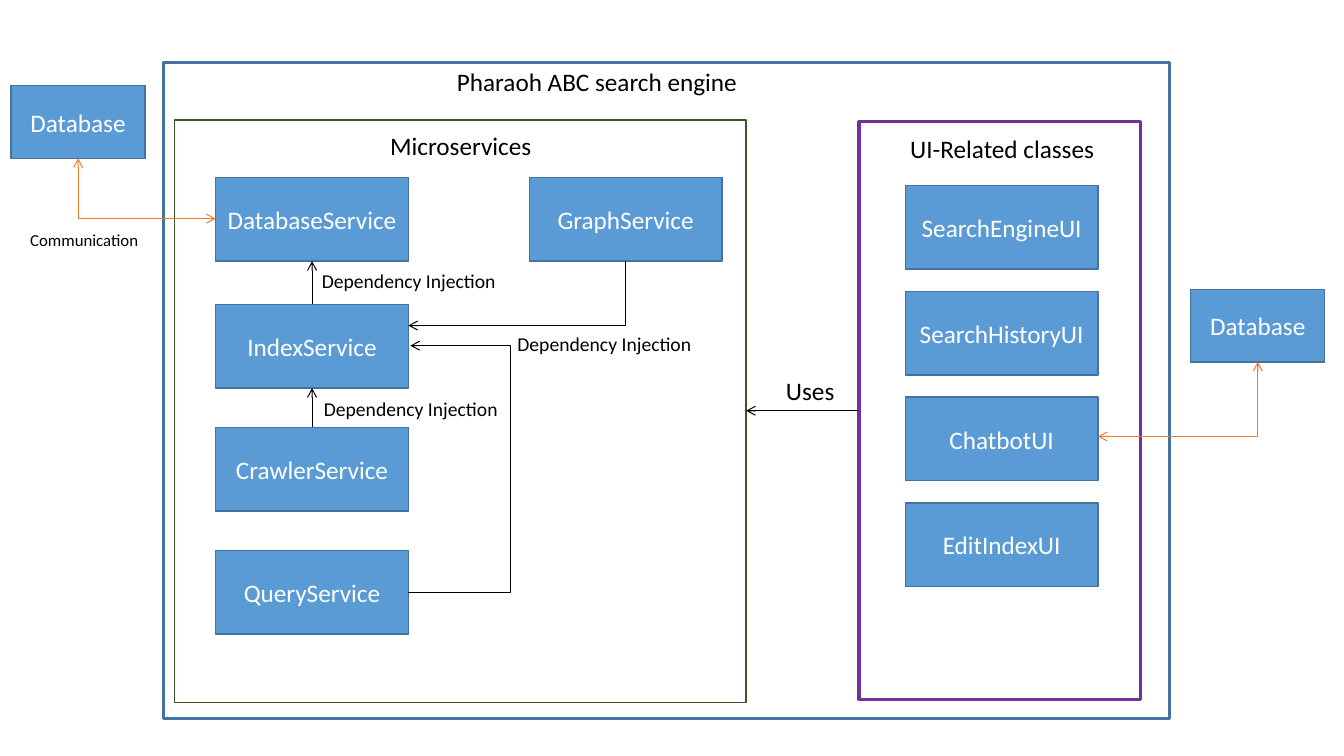
from collections import namedtuple

from lxml import etree
from pptx import Presentation
from pptx import util as u
from pptx.dml.color import RGBColor
from pptx.enum import shapes, text
from pptx.oxml import ns

COLOURS = {
    "engine": "43739E", "microservices": "385723", "ui": "7030A0",
    "fill": "5B9BD5", "box line": "43739E", "external": "ED7D31",
    "black": "000000", "white": "FFFFFF",
}
FONT = "Calibri"
SERVICE_SIZE = (1.91, 0.83)
EXTERNAL_SIZE = (1.33, 0.72)

Box = namedtuple("Box", "left top width height")


def colour(name):
    return RGBColor.from_string(COLOURS[name])


def inches(values):
    return [u.Inches(value) for value in values]


def write(shape, words, size, ink):
    frame = shape.text_frame
    frame.text = words
    frame.vertical_anchor = text.MSO_ANCHOR.MIDDLE
    paragraph = frame.paragraphs[0]
    paragraph.alignment = text.PP_ALIGN.CENTER
    font = paragraph.runs[0].font
    font.name, font.size = FONT, u.Pt(size)
    font.color.rgb = colour(ink)


def add_rectangle(slide, box, line, line_width, fill=None):
    shape = slide.shapes.add_shape(shapes.MSO_SHAPE.RECTANGLE, *inches(box))
    shape.shadow.inherit = False
    if fill:
        shape.fill.solid()
        shape.fill.fore_color.rgb = colour(fill)
    else:
        shape.fill.background()
    shape.line.color.rgb = colour(line)
    shape.line.width = u.Pt(line_width)
    return shape


def add_class(slide, box, name):
    shape = add_rectangle(slide, box, "box line", 1, "fill")
    shape.text_frame.word_wrap = True
    write(shape, name, 18, "white")


def add_label(slide, box, words, size=18):
    label = slide.shapes.add_textbox(*inches(box))
    label.text_frame.word_wrap = False
    write(label, words, size, "black")


def add_arrow(slide, start, end, ends=("tailEnd",), line="black", bend=None, adjust=None):
    """Draw a straight arrow, or a bent one that leaves its start sideways."""
    kind = shapes.MSO_CONNECTOR.ELBOW if bend else shapes.MSO_CONNECTOR.STRAIGHT
    connector = slide.shapes.add_connector(kind, *inches(start + end))
    connector.line.color.rgb = colour(line)
    connector.line.width = u.Pt(0.75)
    properties = connector._element.spPr
    if bend:
        geometry = properties.find(ns.qn("a:prstGeom"))
        geometry.set("prst", bend)
        if adjust is not None:
            guides = geometry.find(ns.qn("a:avLst"))
            etree.SubElement(guides, ns.qn("a:gd"), name="adj1",
                             fmla=f"val {round(adjust * 100000)}")
    outline = properties.find(ns.qn("a:ln"))
    for end_name in ends:
        etree.SubElement(outline, ns.qn(f"a:{end_name}"), type="arrow")
    etree.SubElement(properties, ns.qn("a:effectLst"))


def draw_microservices(slide, box):
    left, top = box.left, box.top
    add_rectangle(slide, box, "microservices", 1)
    add_label(slide, (left + 2.03, top + 0.05, 1.62, 0.4), "Microservices")

    # Services
    width, height = SERVICE_SIZE
    column = left + 0.41
    right, middle = column + width, column + width / 2
    tops = {"DatabaseService": top + 0.57, "IndexService": top + 1.83,
            "CrawlerService": top + 3.05, "QueryService": top + 4.27}
    for name, service_top in tops.items():
        add_class(slide, (column, service_top, width, height), name)
    graph = Box(left + 3.52, tops["DatabaseService"], width, height)
    add_class(slide, graph, "GraphService")

    # Upward dependencies
    for lower, upper in (("IndexService", "DatabaseService"),
                         ("CrawlerService", "IndexService")):
        add_arrow(slide, (middle, tops[lower]), (middle, tops[upper] + height))

    # Dependencies from the side
    index_top = tops["IndexService"]
    add_arrow(slide, (right, index_top + 0.21),
              (graph.left + width / 2, graph.top + height),
              ends=("headEnd",), bend="bentConnector2")
    gap, reach = 0.02, 1.01
    add_arrow(slide, (right, tops["QueryService"] + height / 2),
              (right + gap, index_top + 0.41),
              bend="bentConnector3", adjust=reach / gap)

    # Dependency labels
    for x, y in ((1.35, 1.42), (1.37, 2.69), (3.29, 2.05)):
        add_label(slide, (left + x, top + y, 1.95, 0.34), "Dependency Injection", 14)


def draw_ui_classes(slide, box):
    add_rectangle(slide, box, "ui", 2.25)
    add_label(slide, (box.left + 0.4, box.top + 0.06, 2.04, 0.4), "UI-Related classes")
    names = ("SearchEngineUI", "SearchHistoryUI", "ChatbotUI", "EditIndexUI")
    for row, name in enumerate(names):
        add_class(slide, (box.left + 0.46, box.top + 0.63 + row * 1.05, *SERVICE_SIZE), name)


def draw_uses(slide, source, target):
    y = source.top + source.height / 2
    right = target.left + target.width
    add_arrow(slide, (source.left, y), (right, y))
    add_label(slide, (right + 0.29, y - 0.4, 0.69, 0.4), "Uses")


def draw_external(slide, box, port):
    """Draw an outside store and its two-way link to a port on a class."""
    add_class(slide, box, "Database")
    add_arrow(slide, port, (box.left + box.width / 2, box.top + box.height),
              ends=("headEnd", "tailEnd"), line="external", bend="bentConnector2")


def draw_engine(slide, box):
    add_rectangle(slide, box, "engine", 2.25)
    add_label(slide, (box.left + 2.81, box.top - 0.01, 2.98, 0.4), "Pharaoh ABC search engine")
    microservices = Box(box.left + 0.11, box.top + 0.57, 5.67, 5.78)
    ui_classes = Box(box.left + 6.9, box.top + 0.59, 2.79, 5.73)
    draw_microservices(slide, microservices)
    draw_ui_classes(slide, ui_classes)
    draw_uses(slide, ui_classes, microservices)


def main():
    presentation = Presentation()
    presentation.slide_width = u.Inches(13.33)
    presentation.slide_height = u.Inches(7.5)
    slide = presentation.slides.add_slide(presentation.slide_layouts[6])

    draw_engine(slide, Box(1.62, 0.62, 9.98, 6.51))
    draw_external(slide, Box(0.11, 0.85, *EXTERNAL_SIZE), (2.14, 2.17))
    draw_external(slide, Box(11.81, 2.87, *EXTERNAL_SIZE), (10.89, 4.33))
    add_label(slide, (0.19, 2.23, 1.29, 0.3), "Communication", 12)

    presentation.save("out.pptx")


if __name__ == "__main__":
    main()
